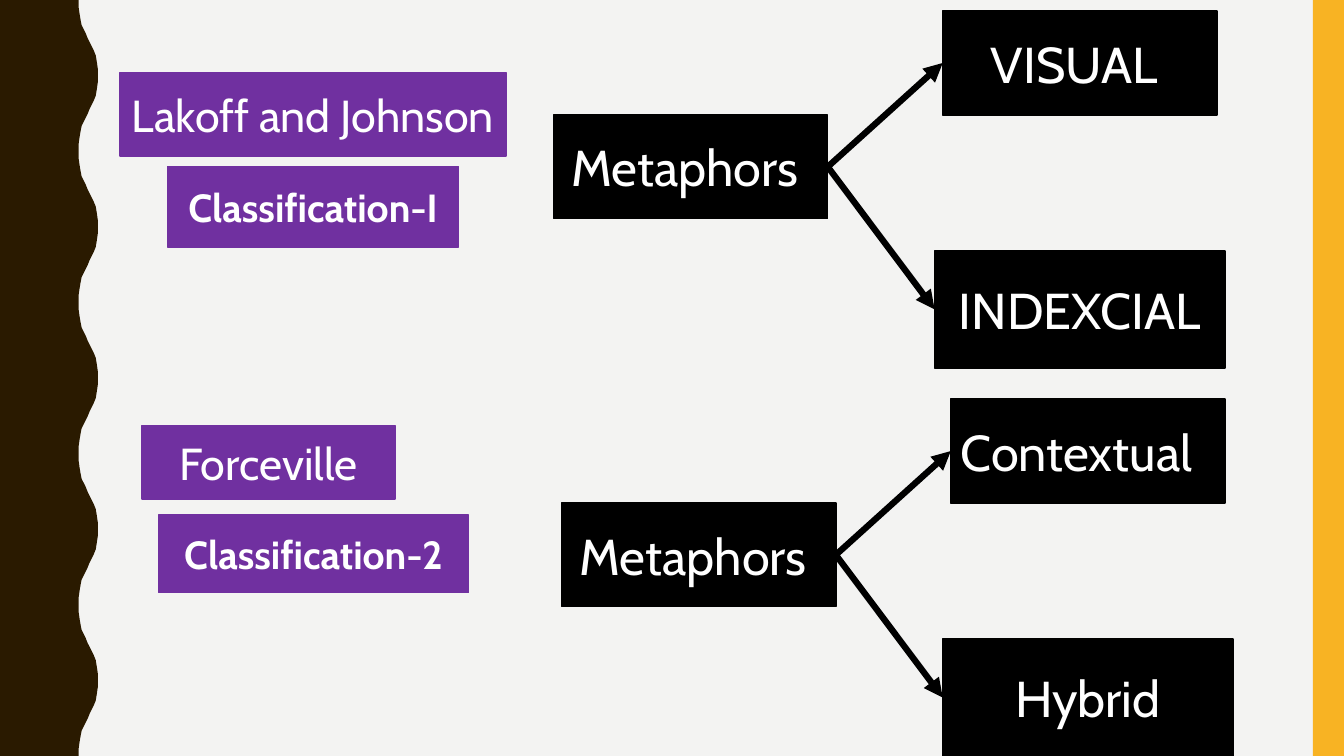
from dataclasses import dataclass
from typing import Any

from lxml.etree import SubElement
from pptx import Presentation
from pptx.dml.color import RGBColor
from pptx.enum.shapes import MSO_CONNECTOR, MSO_SHAPE
from pptx.enum.text import MSO_ANCHOR, PP_ALIGN
from pptx.oxml.ns import qn
from pptx.util import Pt

EMU_PER_PX = 9144  # 100 px to the inch
PAGE_WIDTH, PAGE_HEIGHT = 1333, 750


@dataclass(frozen=True)
class Theme:
    font: str = "Cabin"
    paper: str = "F3F3F2"
    brown: str = "2A1A00"
    amber: str = "F8B323"
    purple: str = "7030A0"
    black: str = "000000"
    white: str = "FFFFFF"
    node_size: int = 36
    author_size: int = 32
    class_size: int = 28
    border: float = 1
    arrow: float = 4.5


@dataclass(frozen=True)
class Label:
    text: str
    left: int
    top: int
    width: int
    height: int
    fill: str
    size: int
    bold: bool = False


@dataclass(frozen=True)
class Tree:
    left: int
    top: int
    root: str
    upper: str
    lower: str


THEME = Theme()

AUTHORS = [
    Label("Lakoff and Johnson", 119, 72, 383, 83, THEME.purple, THEME.author_size),
    Label("Forceville", 141, 422, 251, 73, THEME.purple, THEME.author_size),
]
CLASSES = [
    Label("Classification-I", 166, 165, 289, 80, THEME.purple, THEME.class_size, True),
    Label("Classification-2", 157, 511, 308, 77, THEME.purple, THEME.class_size, True),
]
TREES = [
    Tree(549, 11, "Metaphors ", "VISUAL ", "INDEXCIAL"),
    Tree(557, 396, "Metaphors ", "Contextual  ", "Hybrid"),
]

# One half wave of the left edge: x of each point, and its y from the crest
WAVE_X = [78, 78, 79, 80, 81, 83, 85, 87, 89, 91, 93, 95, 96, 97, 97]
WAVE_Y = [0, 7, 14, 20, 25, 29, 33, 38, 42, 46, 50, 55, 61, 68, 75]
HALF_WAVE = 75


def px(length: int) -> int:
    return length * EMU_PER_PX


def colour(value: str) -> RGBColor:
    return RGBColor.from_string(value)


def apply_format(target: Any, values: dict[str, Any]) -> None:
    for name, value in values.items():
        setattr(target, name, value)


def paint(shape: Any, fill: str) -> None:
    shape.shadow.inherit = False
    shape.fill.solid()
    shape.fill.fore_color.rgb = colour(fill)
    shape.line.fill.background()


def draw_wave(shapes: Any) -> None:
    points = [(0, 0)]
    for half in range(PAGE_HEIGHT // HALF_WAVE):
        across = WAVE_X if half % 2 == 0 else WAVE_X[::-1]
        points += [(x, half * HALF_WAVE + y) for x, y in zip(across, WAVE_Y)]
    points.append((0, PAGE_HEIGHT))
    builder = shapes.build_freeform(*points[0], scale=EMU_PER_PX)
    builder.add_line_segments(points[1:], close=True)
    paint(builder.convert_to_shape(), THEME.brown)


def draw_bar(shapes: Any) -> None:
    bar = shapes.add_shape(MSO_SHAPE.RECTANGLE, px(1302), 0, px(31), px(PAGE_HEIGHT))
    paint(bar, THEME.amber)


def draw_label(shapes: Any, label: Label) -> Any:
    box = shapes.add_shape(MSO_SHAPE.RECTANGLE, px(label.left), px(label.top),
                           px(label.width), px(label.height))
    paint(box, label.fill)
    box.line.color.rgb = colour(label.fill)
    box.line.width = Pt(THEME.border)
    apply_format(box.text_frame, {"word_wrap": True, "vertical_anchor": MSO_ANCHOR.MIDDLE})
    para = box.text_frame.paragraphs[0]
    para.alignment = PP_ALIGN.CENTER
    span = para.add_run()
    span.text = label.text
    apply_format(span.font, {"name": THEME.font, "size": Pt(label.size), "bold": label.bold})
    span.font.color.rgb = colour(THEME.white)
    return box


def draw_arrow(shapes: Any, source: Any, target: Any) -> None:
    arrow = shapes.add_connector(
        MSO_CONNECTOR.STRAIGHT,
        source.left + source.width, source.top + source.height // 2,
        target.left, target.top + target.height // 2)
    arrow.begin_connect(source, 3)
    arrow.end_connect(target, 1)
    arrow.line.color.rgb = colour(THEME.black)
    arrow.line.width = Pt(THEME.arrow)
    SubElement(arrow.line._get_or_add_ln(), qn("a:tailEnd"), type="triangle")
    SubElement(arrow._element.spPr, qn("a:effectLst"))


def draw_tree(shapes: Any, tree: Tree) -> None:
    group = shapes.add_group_shape().shapes
    places = [
        (tree.root, 0, 103, 272, 103),
        (tree.upper, 386, 0, 272, 103),
        (tree.lower, 378, 238, 288, 116),
    ]
    root, *branches = [
        draw_label(group, Label(text, tree.left + x, tree.top + y, width, height,
                                THEME.black, THEME.node_size))
        for text, x, y, width, height in places
    ]
    for branch in branches:
        draw_arrow(group, root, branch)


def main() -> None:
    deck = Presentation()
    apply_format(deck, {"slide_width": px(PAGE_WIDTH), "slide_height": px(PAGE_HEIGHT)})
    page = deck.slides.add_slide(deck.slide_layouts[6])

    # Background and side bands
    page.background.fill.solid()
    page.background.fill.fore_color.rgb = colour(THEME.paper)
    draw_wave(page.shapes)
    draw_bar(page.shapes)

    # Metaphor trees
    for tree in TREES:
        draw_tree(page.shapes, tree)

    # Authors and their classifications
    for label in CLASSES + AUTHORS:
        draw_label(page.shapes, label)

    deck.save("out.pptx")


if __name__ == "__main__":
    main()
